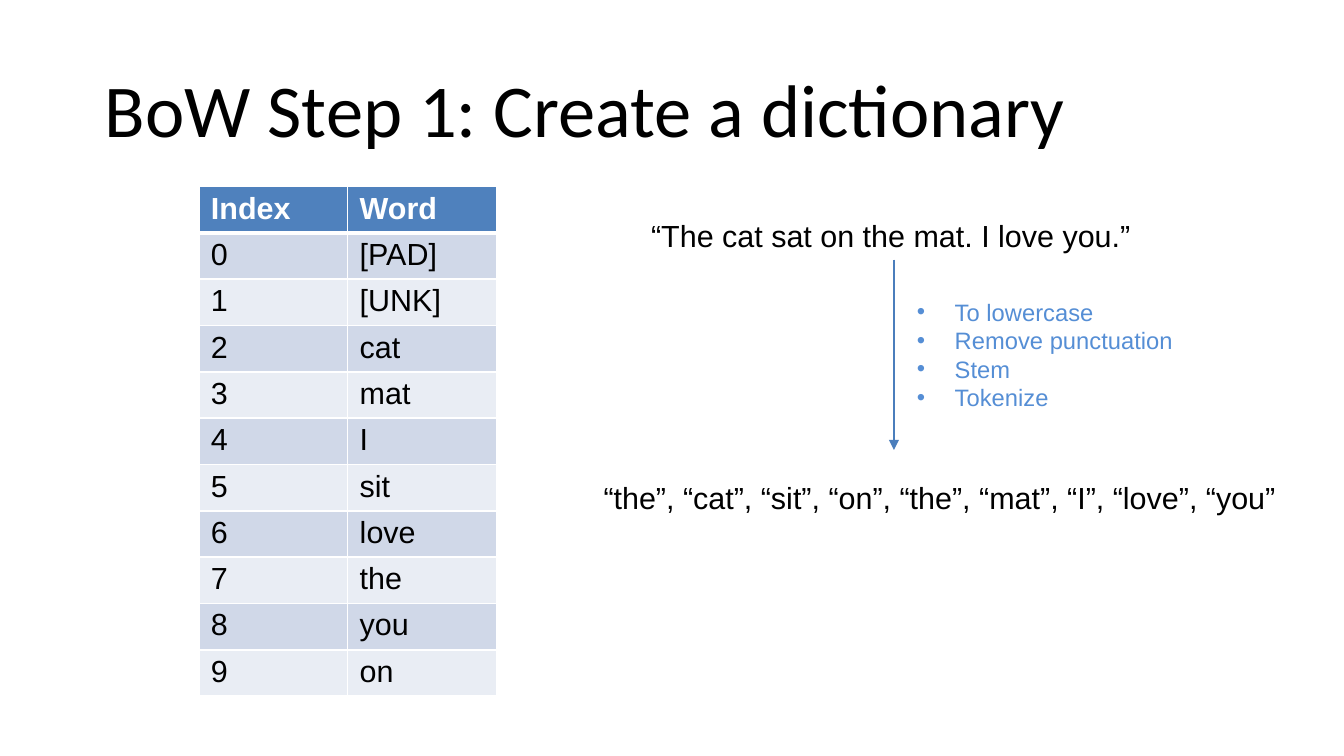
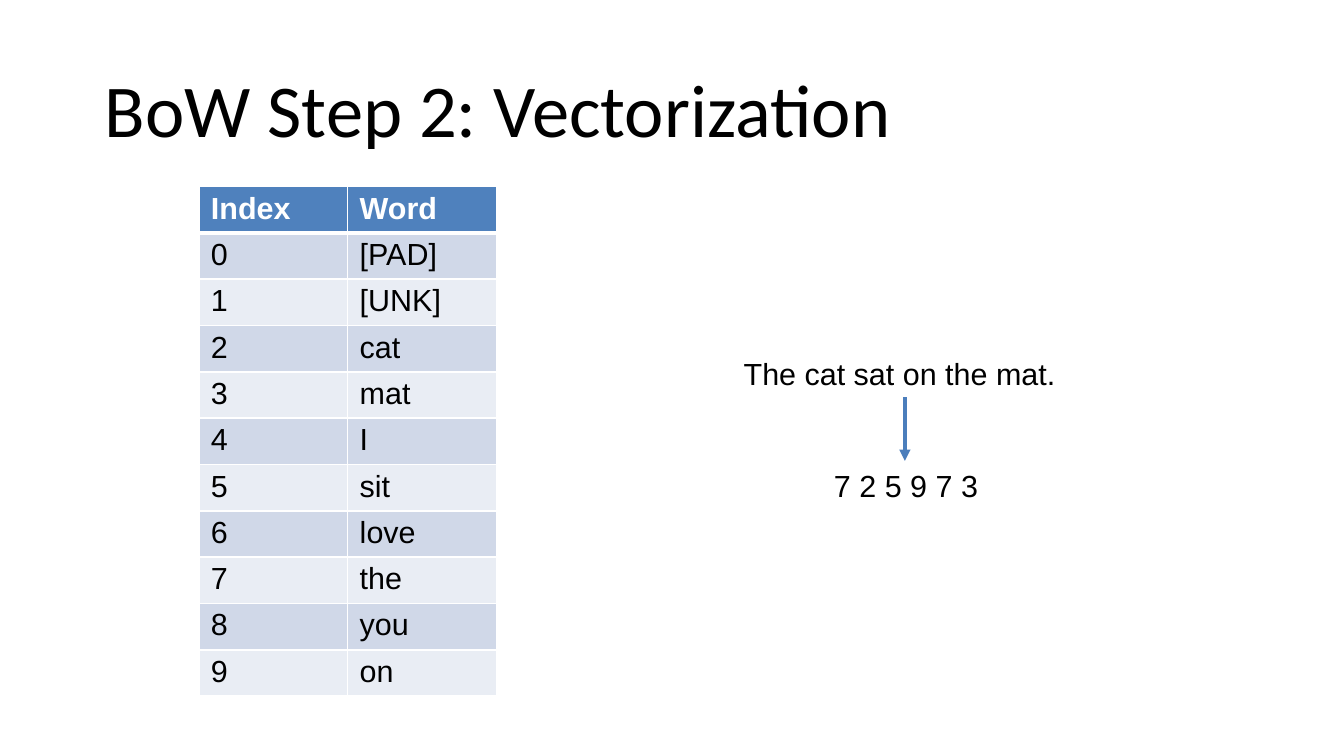
from lxml.etree import SubElement
from pptx import Presentation
from pptx.dml.color import RGBColor
from pptx.enum.shapes import MSO_CONNECTOR
from pptx.enum.text import MSO_ANCHOR, PP_ALIGN
from pptx.oxml.ns import qn
from pptx.util import Inches, Pt

BLACK, WHITE = "000000", "FFFFFF"
HEADER_FILL, BAND_FILLS = "4F81BD", ("D0D8E8", "E9EDF4")
ARROW_COLOR, STEP_COLOR = "4B7EBC", "558ED5"
BODY_FONT, TITLE_FONT = "Arial", "Calibri"
ROW_HEIGHT, COLUMN_WIDTH = 0.38, 1.22

WORDS = ["[PAD]", "[UNK]", "cat", "mat", "I", "sit", "love", "the", "you", "on"]
STEPS = ["To lowercase", "Remove punctuation", "Stem", "Tokenize"]

SLIDES = [
    {
        "title": "BoW Step 1: Create a dictionary",
        "sentence": ("“The cat sat on the mat. I love you.”", (5.24, 1.73, 4.18, 0.4)),
        "arrow": (3.69, 0.75),
        "steps": (STEPS, (7.42, 2.39, 2.31, 1.04)),
        "result": ("“the”, “cat”, “sit”, “on”, “the”, “mat”, “I”, “love”, “you”",
                   (4.85, 3.88, 5.85, 0.4)),
    },
    {
        "title": "BoW Step 2: Vectorization",
        "sentence": ("The cat sat on the mat.", (6, 2.86, 2.84, 0.4)),
        "arrow": (3.78, 2.25),
        "result": ("7 2 5 9 7 3", (6.74, 3.78, 1.66, 0.4)),
    },
]


def color(value):
    return RGBColor.from_string(value)


def style(paragraph, size, value, name=BODY_FONT, bold=False):
    font = paragraph.font
    font.size, font.name, font.bold = Pt(size), name, bold
    font.color.rgb = color(value)


def add_title(page, text):
    title = page.shapes.title
    title.left, title.top, title.width, title.height = map(Inches, (0.76, 0.33, 9.51, 1.2))
    frame = title.text_frame
    frame.text = text
    frame.vertical_anchor = MSO_ANCHOR.MIDDLE
    paragraph = frame.paragraphs[0]
    paragraph.alignment = PP_ALIGN.LEFT
    paragraph.line_spacing = 0.9
    style(paragraph, 44, BLACK, TITLE_FONT)


def add_text(page, lines, place, size=18, value=BLACK):
    box = page.shapes.add_textbox(*map(Inches, place))
    frame = box.text_frame
    frame.word_wrap = True
    frame.text = "\n".join(lines)
    for paragraph in frame.paragraphs:
        style(paragraph, size, value)
    return box


def add_bullets(box):
    for paragraph in box.text_frame.paragraphs:
        properties = paragraph._p.get_or_add_pPr()
        properties.set("marL", str(Inches(0.31)))
        properties.set("indent", str(-Inches(0.31)))
        bullet_font = SubElement(properties, qn("a:buFont"))
        bullet_font.set("typeface", BODY_FONT)
        SubElement(properties, qn("a:buChar")).set("char", "•")


def add_arrow(page, box, end_y, width):
    middle = box.left + box.width // 2
    arrow = page.shapes.add_connector(
        MSO_CONNECTOR.STRAIGHT, middle, box.top + box.height, middle, Inches(end_y))
    arrow.begin_connect(box, 2)
    arrow.line.color.rgb = color(ARROW_COLOR)
    arrow.line.width = Pt(width)
    SubElement(arrow.line._get_or_add_ln(), qn("a:tailEnd")).set("type", "triangle")
    SubElement(arrow._element.spPr, qn("a:effectLst"))


def add_borders(cell, top, bottom):
    properties = cell._tc.get_or_add_tcPr()
    for side, width in (("L", 1), ("R", 1), ("T", top), ("B", bottom)):
        border = SubElement(properties, qn(f"a:ln{side}"))
        border.set("w", str(Pt(width)))
        fill = SubElement(border, qn("a:solidFill"))
        SubElement(fill, qn("a:srgbClr")).set("val", WHITE)


def add_dictionary(page):
    rows = [("Index", "Word")] + [(str(index), word) for index, word in enumerate(WORDS)]
    table = page.shapes.add_table(
        len(rows), 2, Inches(1.63), Inches(1.53),
        Inches(2 * COLUMN_WIDTH), Inches(len(rows) * ROW_HEIGHT)).table
    for column in table.columns:
        column.width = Inches(COLUMN_WIDTH)
    for number, texts in enumerate(rows):
        table.rows[number].height = Inches(ROW_HEIGHT)
        header = number == 0
        for position, text in enumerate(texts):
            cell = table.cell(number, position)
            cell.text = text
            cell.margin_top = cell.margin_bottom = Inches(0.04)
            add_borders(cell, 3 if number == 1 else 1, 3 if header else 1)
            cell.fill.solid()
            cell.fill.fore_color.rgb = color(
                HEADER_FILL if header else BAND_FILLS[(number - 1) % 2])
            style(cell.text_frame.paragraphs[0], 18, WHITE if header else BLACK, bold=header)


def main():
    deck = Presentation()
    deck.slide_width, deck.slide_height = Inches(11.02), Inches(6.2)
    for content in SLIDES:
        page = deck.slides.add_slide(deck.slide_layouts[5])
        add_title(page, content["title"])
        add_dictionary(page)
        text, place = content["sentence"]
        sentence = add_text(page, [text], place)
        add_arrow(page, sentence, *content["arrow"])
        if "steps" in content:
            lines, place = content["steps"]
            add_bullets(add_text(page, lines, place, 14, STEP_COLOR))
        text, place = content["result"]
        add_text(page, [text], place)
    deck.save("out.pptx")


if __name__ == "__main__":
    main()
